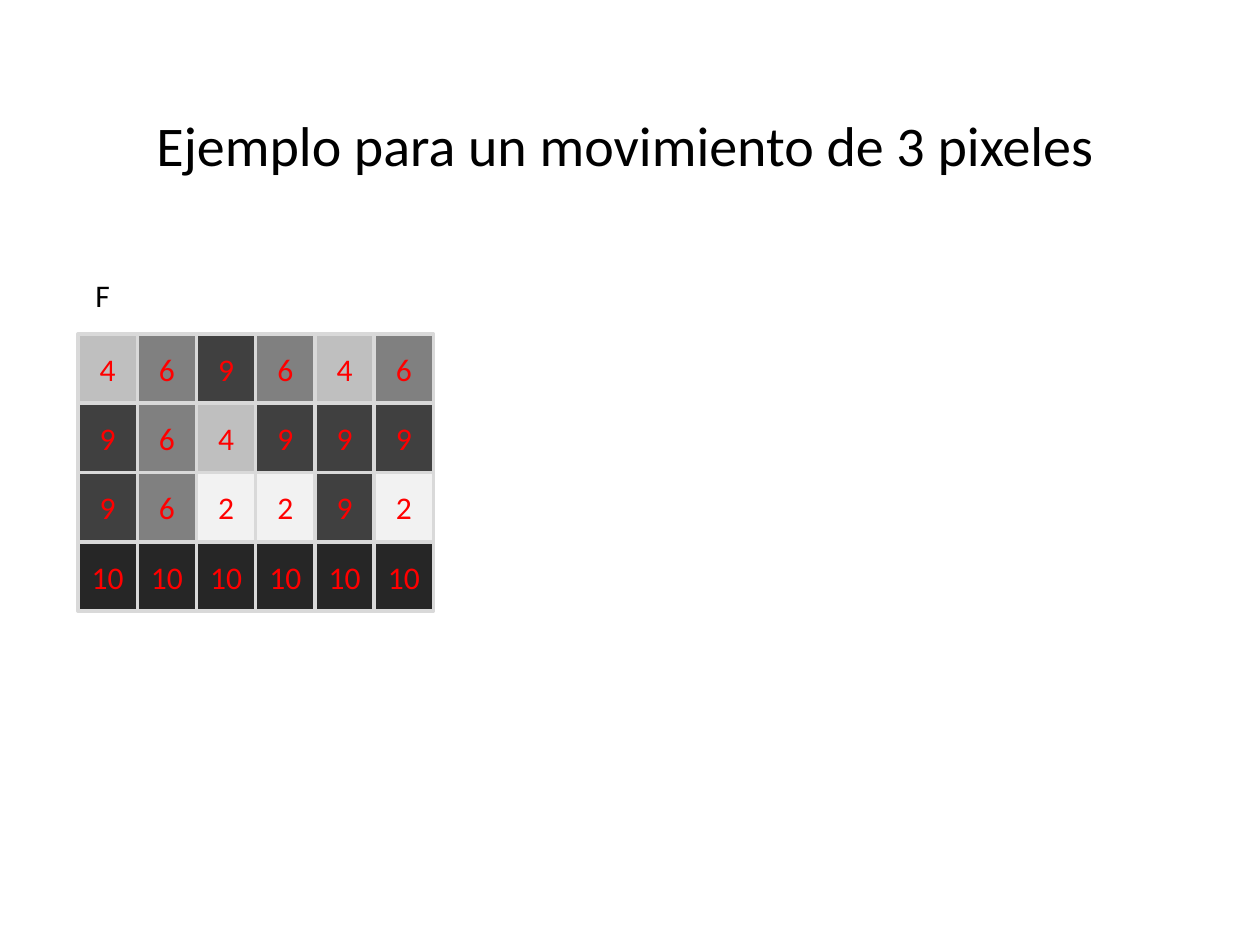
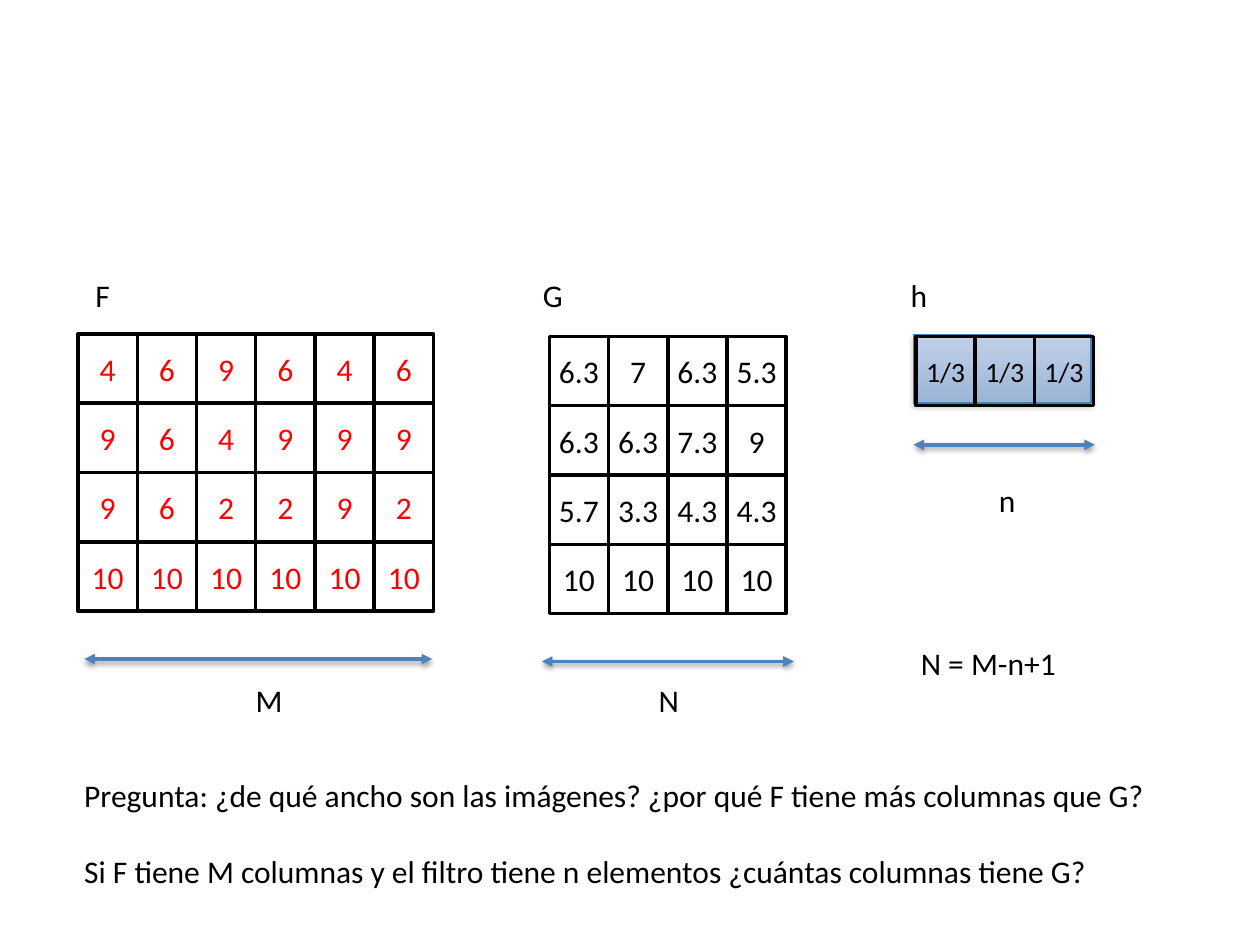
from dataclasses import dataclass

from lxml import etree
from pptx import Presentation
from pptx.dml.color import RGBColor
from pptx.enum.shapes import MSO_CONNECTOR, MSO_SHAPE
from pptx.enum.text import MSO_ANCHOR, PP_ALIGN
from pptx.oxml.ns import qn
from pptx.util import Inches, Pt

RECT = MSO_SHAPE.RECTANGLE
STRAIGHT = MSO_CONNECTOR.STRAIGHT
LEFT, CENTER = PP_ALIGN.LEFT, PP_ALIGN.CENTER
TOP, MIDDLE = MSO_ANCHOR.TOP, MSO_ANCHOR.MIDDLE
TITLE_ONLY, BLANK = 5, 6


@dataclass(frozen=True)
class Theme:
    font: str = "Calibri"
    black: str = "000000"
    red: str = "FF0000"
    edge: str = "D9D9D9"
    arrow: str = "4F81BD"
    rim: str = "4B7EBC"
    deep: str = "3F80CE"
    pale: str = "A4C4FF"
    title: int = 32
    body: int = 18
    small: int = 16
    stroke: float = 2
    thin: float = 0.75
    gap: int = 22


# Grey level of each pixel value
SHADES = {2: "F2F2F2", 4: "BFBFBF", 6: "808080", 9: "404040", 10: "262626"}

F_ROWS = [
    [4, 6, 9, 6, 4, 6],
    [9, 6, 4, 9, 9, 9],
    [9, 6, 2, 2, 9, 2],
    [10] * 6,
]
G_ROWS = [
    [6.3, 7, 6.3, 5.3],
    [6.3, 6.3, 7.3, 9],
    [5.7, 3.3, 4.3, 4.3],
    [10] * 4,
]
H_ROWS = [["1/3"] * 3]
CELL_W, CELL_H = 0.47, 0.55
F_AT, G_AT, H_AT = (0.62, 2.65), (4.36, 2.67), (7.27, 2.67)
NAME_Y = 2.14


def rgb(code):
    return RGBColor.from_string(code)


class Deck:
    def __init__(self, theme):
        self.theme = theme
        self.prs = Presentation()
        self.prs.slide_width, self.prs.slide_height = Inches(10), Inches(7.5)
        self.slide = None

    def page(self, layout):
        self.slide = self.prs.slides.add_slide(self.prs.slide_layouts[layout])

    def put_text(self, frame, lines, size, color=None, align=LEFT):
        for i, line in enumerate(lines):
            para = frame.paragraphs[0] if i == 0 else frame.add_paragraph()
            para.alignment = align
            if i:
                para.space_before = Pt(self.theme.gap)
            run = para.add_run()
            run.text = line
            run.font.name = self.theme.font
            run.font.size = Pt(size)
            run.font.color.rgb = rgb(color or self.theme.black)

    def title(self, text, x, y, w, h):
        box = self.slide.shapes.title
        box.left, box.top, box.width, box.height = map(Inches, (x, y, w, h))
        box.text_frame.word_wrap = False
        box.text_frame.vertical_anchor = TOP
        self.put_text(box.text_frame, [text], self.theme.title)

    def label(self, x, y, *lines, w=0.4, h=0.4):
        box = self.slide.shapes.add_textbox(*map(Inches, (x, y, w, h)))
        box.text_frame.word_wrap = False
        self.put_text(box.text_frame, lines, self.theme.body)

    def rect(self, x, y, w, h, line, width):
        box = self.slide.shapes.add_shape(RECT, *map(Inches, (x, y, w, h)))
        box.shadow.inherit = False
        box.line.color.rgb = rgb(line)
        box.line.width = Pt(width)
        return box

    def grid(self, at, rows, line, color, size=None, shades=None):
        """Draw a matrix of cells; shades maps a value to its fill."""
        for r, row in enumerate(rows):
            for c, value in enumerate(row):
                box = self.rect(at[0] + c * CELL_W, at[1] + r * CELL_H,
                                CELL_W, CELL_H, line, self.theme.stroke)
                if shades:
                    box.fill.solid()
                    box.fill.fore_color.rgb = rgb(shades[value])
                else:
                    box.fill.background()
                frame = box.text_frame
                frame.margin_left = frame.margin_right = 0
                frame.word_wrap = False
                frame.vertical_anchor = MIDDLE
                self.put_text(frame, [str(value)], size or self.theme.body,
                              color, CENTER)

    def shade(self, props, dist, alpha):
        """Give a shape's properties a soft shadow straight below."""
        effects = props.find(qn("a:effectLst"))
        if effects is None:
            effects = etree.SubElement(props, qn("a:effectLst"))
        drop = etree.SubElement(effects, qn("a:outerShdw"),
                                blurRad=str(Pt(3.1)), dist=str(Pt(dist)),
                                dir="5400000", rotWithShape="0")
        tint = etree.SubElement(drop, qn("a:srgbClr"), val=self.theme.black)
        etree.SubElement(tint, qn("a:alpha"), val=str(alpha * 1000))

    def panel(self, x, y, w, h):
        """Draw the translucent gradient behind the filter."""
        box = self.rect(x, y, w, h, self.theme.rim, self.theme.thin)
        box.fill.gradient()
        box.fill.gradient_angle = 90
        colors = (self.theme.deep, self.theme.pale)
        for stop, color in zip(box.fill.gradient_stops, colors):
            stop.color.rgb = rgb(color)
        props = box._element.spPr
        for tint in props.find(qn("a:gradFill")).iter(qn("a:srgbClr")):
            etree.SubElement(tint, qn("a:alpha"), val="41000")
        self.shade(props, 1.8, 35)

    def span(self, x1, x2, y):
        """Draw a double-headed width arrow."""
        link = self.slide.shapes.add_connector(
            STRAIGHT, *map(Inches, (x1, y, x2, y)))
        link.line.color.rgb = rgb(self.theme.arrow)
        link.line.width = Pt(self.theme.stroke)
        props = link._element.spPr
        for end in ("a:headEnd", "a:tailEnd"):
            etree.SubElement(props.find(qn("a:ln")), qn(end), type="triangle")
        self.shade(props, 1.6, 38)


def example(deck):
    theme = deck.theme
    deck.page(TITLE_ONLY)
    deck.title("Ejemplo para un movimiento de 3 pixeles", 1.14, 0.83, 7.72, 0.64)
    deck.grid(F_AT, F_ROWS, theme.edge, theme.red, shades=SHADES)
    deck.label(0.66, NAME_Y, "F")


def result(deck):
    theme = deck.theme
    deck.page(BLANK)
    deck.grid(F_AT, F_ROWS, theme.black, theme.red)
    deck.grid(G_AT, G_ROWS, theme.black, theme.black)
    deck.panel(7.25, 2.66, 1.41, 0.54)
    deck.grid(H_AT, H_ROWS, theme.black, theme.black, theme.small)
    for name, x in (("F", 0.66), ("G", 4.21), ("h", 7.13)):
        deck.label(x, NAME_Y, name)
    for x1, x2, y in ((0.67, 3.43, 5.23), (4.3, 6.3, 5.25), (7.25, 8.69, 3.53)):
        deck.span(x1, x2, y)
    for name, x, y in (("M", 1.93, 5.36), ("N", 5.13, 5.36), ("n", 7.83, 3.77)):
        deck.label(x, y, name)
    deck.label(7.21, 5.06, "N = M-n+1", w=1.29)
    deck.label(
        0.57, 6.11,
        "Pregunta: ¿de qué ancho son las imágenes? "
        "¿por qué F tiene más columnas que G?",
        "Si F tiene M columnas y el filtro tiene n elementos "
        "¿cuántas columnas tiene G?",
        w=8.72, h=1.01)


def main():
    deck = Deck(Theme())
    example(deck)
    result(deck)
    deck.prs.save("out.pptx")


if __name__ == "__main__":
    main()
